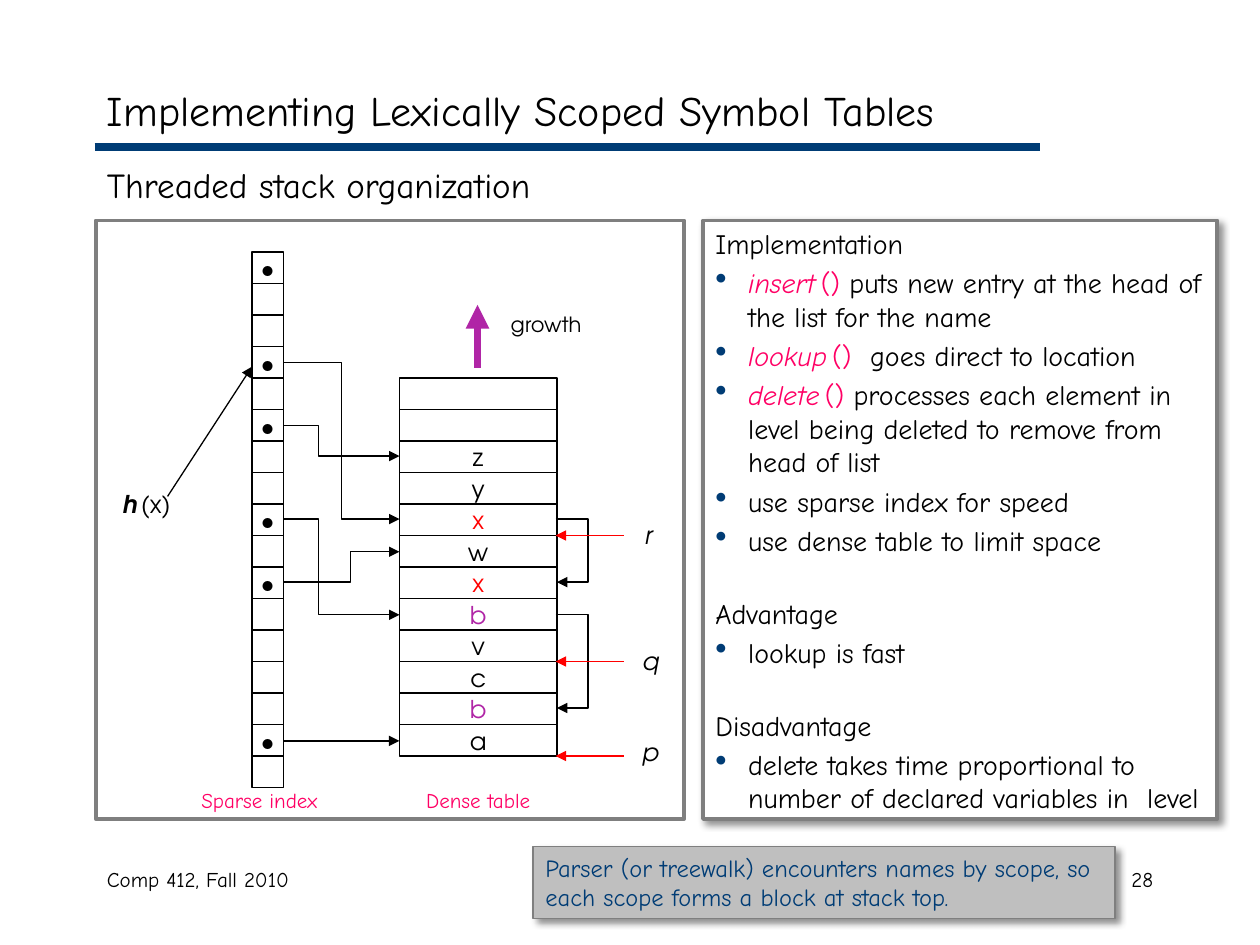
from lxml import etree
from pptx import Presentation
from pptx.dml.color import RGBColor
from pptx.enum.shapes import MSO_CONNECTOR as CONN, MSO_SHAPE as SHAPE
from pptx.enum.text import MSO_ANCHOR as ANCHOR, PP_ALIGN as ALIGN
from pptx.oxml.ns import qn
from pptx.util import Inches, Pt

BLACK = RGBColor(0x00, 0x00, 0x00)
WHITE = RGBColor(0xFF, 0xFF, 0xFF)
NAVY = RGBColor(0x00, 0x3C, 0x75)
GRAY = RGBColor(0x7F, 0x7F, 0x7F)
SILVER = RGBColor(0xBF, 0xBF, 0xBF)
PINK = RGBColor(0xFF, 0x00, 0x65)
PURPLE = RGBColor(0xB0, 0x25, 0xA6)
RED = RGBColor(0xFF, 0x00, 0x00)
COMIC, GOTHIC = "Comic Neue", "TeX Gyre Adventor"
CELL = 0.25

prs = Presentation()
prs.slide_width, prs.slide_height = Inches(10), Inches(7.5)
shapes = prs.slides.add_slide(prs.slide_layouts[6]).shapes


def write(s, text, size, color=BLACK, font=COMIC, align=ALIGN.LEFT,
          anchor=ANCHOR.TOP, wrap=True):
    tf = s.text_frame
    tf.word_wrap, tf.vertical_anchor = wrap, anchor
    p = tf.paragraphs[0]
    p.text, p.alignment = text, align
    p.font.size, p.font.name, p.font.color.rgb = Pt(size), font, color
    return p


def line(x1, y1, x2, y2, color=BLACK, width=0.75, head=True, bend=None):
    """Draw a line; bend is the x of the upright part of an elbow."""
    kind = CONN.STRAIGHT if bend is None else CONN.ELBOW
    s = shapes.add_connector(kind, Inches(x1), Inches(y1), Inches(x2), Inches(y2))
    s.line.color.rgb, s.line.width = color, Pt(width)
    sp_pr = s._element.spPr
    if head:
        etree.SubElement(sp_pr.find(qn("a:ln")), qn("a:tailEnd"), type="triangle")
    if bend is not None:
        ratio = round((bend - x1) / (x2 - x1) * 100000)
        guides = sp_pr.find(qn("a:prstGeom")).find(qn("a:avLst"))
        etree.SubElement(guides, qn("a:gd"), name="adj1", fmla=f"val {ratio}")
    etree.SubElement(sp_pr, qn("a:effectLst"))


# Heading rule
line(0.75, 1.17, 8.25, 1.17, NAVY, 4.5, head=False)

# Panels and note
panels = []
for x, y, w, h, fill, width, shadow in [
        (5.58, 1.75, 4.08, 4.75, WHITE, 2.25, True),
        (0.76, 1.75, 4.67, 4.75, WHITE, 2.25, False),
        (4.23, 6.72, 4.62, 0.57, SILVER, 0.75, True)]:
    s = shapes.add_shape(SHAPE.RECTANGLE, Inches(x), Inches(y), Inches(w), Inches(h))
    s.shadow.inherit = False
    s.fill.solid()
    s.fill.fore_color.rgb = fill
    s.line.color.rgb, s.line.width = GRAY, Pt(width)
    if shadow:
        effects = s._element.spPr.find(qn("a:effectLst"))
        outer = etree.SubElement(effects, qn("a:outerShdw"), blurRad=str(Pt(4)),
                                 dist=str(Pt(3)), dir="2700000", rotWithShape="0")
        rgb = etree.SubElement(outer, qn("a:srgbClr"), val=str(BLACK))
        etree.SubElement(rgb, qn("a:alpha"), val="43000")
    panels.append(s)
notes_panel, _, remark = panels
write(remark, "Parser (or treewalk) encounters names by scope, so each scope "
      "forms a block at stack top.", 14, NAVY)

# Implementation notes: (function name, text, is bullet)
tf = notes_panel.text_frame
tf.word_wrap, tf.vertical_anchor = True, ANCHOR.TOP
for i, (name, text, bullet) in enumerate([
        ("", "Implementation", False),
        ("insert", " puts new entry at the head of the list for the name", True),
        ("lookup", "  goes direct to location", True),
        ("delete", " processes each element in level being deleted to remove "
                   "from head of list", True),
        ("", "use sparse index for speed", True),
        ("", "use dense table to limit space", True),
        ("", "Advantage", False),
        ("", "lookup is fast", True),
        ("", "Disadvantage", False),
        ("", "delete takes time proportional to number of declared variables "
             "in  level", True)]):
    p = tf.add_paragraph() if i else tf.paragraphs[0]
    p.alignment = ALIGN.LEFT
    if i:
        p.space_before = Pt(3.2 if bullet else 22.4)
    p_pr = p._p.get_or_add_pPr()
    p_pr.set("marL", str(Inches(0.26)))
    p_pr.set("indent", str(Inches(-0.26)))
    if bullet:
        bu_color = etree.SubElement(p_pr, qn("a:buClr"))
        etree.SubElement(bu_color, qn("a:srgbClr"), val=str(NAVY))
        etree.SubElement(p_pr, qn("a:buSzPct"), val="120000")
        etree.SubElement(p_pr, qn("a:buChar"), char="•")
    p.font.size, p.font.name, p.font.color.rgb = Pt(16), COMIC, BLACK
    if name:
        for part, size, italic in [(name, 16, True), (" ", 9, True), ("()", 16, False)]:
            r = p.add_run()
            r.text = part
            r.font.size, r.font.italic, r.font.color.rgb = Pt(size), italic, PINK
    p.add_run().text = text

# Sparse index and dense table, from top to bottom
letter_colors = {"x": RED, "b": PURPLE}
for x, y, w, size, column in [(2, 2, CELL, 16, "•  • •  • •    • "),
                              (3.17, 3, 1.25, 14, "  zyxwxbvcba")]:
    for i, mark in enumerate(column):
        s = shapes.add_shape(SHAPE.RECTANGLE, Inches(x), Inches(y + i * CELL),
                             Inches(w), Inches(CELL))
        s.shadow.inherit = False
        s.fill.background()
        s.line.color.rgb, s.line.width = BLACK, Pt(1)
        if mark != " ":
            write(s, mark, size, letter_colors.get(mark, BLACK), GOTHIC,
                  ALIGN.CENTER, ANCHOR.MIDDLE, wrap=False)

# Hash lookup and growth arrows
line(1.33, 3.94, 2, 2.91)
line(3.79, 2.92, 3.79, 2.42, PURPLE, 4.5)

# Links from the index to the table
for y1, y2, bend in [(4.12, 4.88, 2.53), (5.88, 5.88, None), (4.62, 4.38, 2.78),
                     (3.38, 3.62, 2.53), (2.88, 4.12, 2.71)]:
    line(2.25, y1, 3.17, y2, bend=bend)

# Links between entries of the same name
for y1, y2 in [(4.12, 4.62), (4.88, 5.62)]:
    line(4.41, y1, 4.42, y2, bend=4.67)

# Scope pointers
for y in (6, 5.25, 4.25):
    line(4.95, y, 4.41, y, RED)

# Text boxes
for x, y, w, h, text, size, color, font, align, anchor in [
        (0.75, 0.58, 8.5, 0.58, "Implementing Lexically Scoped Symbol Tables", 24,
         BLACK, COMIC, ALIGN.LEFT, ANCHOR.MIDDLE),
        (0.75, 1.25, 8.5, 0.45, "Threaded stack organization", 20,
         BLACK, COMIC, ALIGN.LEFT, ANCHOR.TOP),
        (0.75, 6.83, 3.17, 0.5, "Comp 412, Fall 2010", 12,
         BLACK, COMIC, ALIGN.LEFT, ANCHOR.TOP),
        (7.17, 6.83, 2.08, 0.5, "28", 12, BLACK, COMIC, ALIGN.RIGHT, ANCHOR.TOP),
        (1.5, 6.2, 1.25, 0.3, "Sparse index", 12, PINK, COMIC, ALIGN.LEFT, ANCHOR.TOP),
        (3.17, 6.2, 1.25, 0.3, "Dense table", 12, PINK, COMIC, ALIGN.CENTER, ANCHOR.TOP),
        (3.92, 2.42, 0.83, 0.3, "growth", 12, BLACK, GOTHIC, ALIGN.CENTER, ANCHOR.TOP)]:
    s = shapes.add_textbox(Inches(x), Inches(y), Inches(w), Inches(h))
    write(s, text, size, color, font, align, anchor)

# Pointer names
for x, y, w, name in [(5, 5.8, 0.32, "p"), (5, 5.08, 0.32, "q"), (5.02, 4.08, 0.29, "r")]:
    s = shapes.add_textbox(Inches(x), Inches(y), Inches(w), Inches(0.33))
    write(s, name, 14, font=GOTHIC, wrap=False).font.italic = True

# Hash function label
s = shapes.add_textbox(Inches(0.75), Inches(3.83), Inches(0.83), Inches(0.33))
p = write(s, "", 14, font=GOTHIC, align=ALIGN.CENTER)
for text, size, strong in [("h", 14, True), (" ", 7, True), ("(x)", 14, False)]:
    r = p.add_run()
    r.text = text
    r.font.size, r.font.bold, r.font.italic = Pt(size), strong, strong

prs.save("out.pptx")
